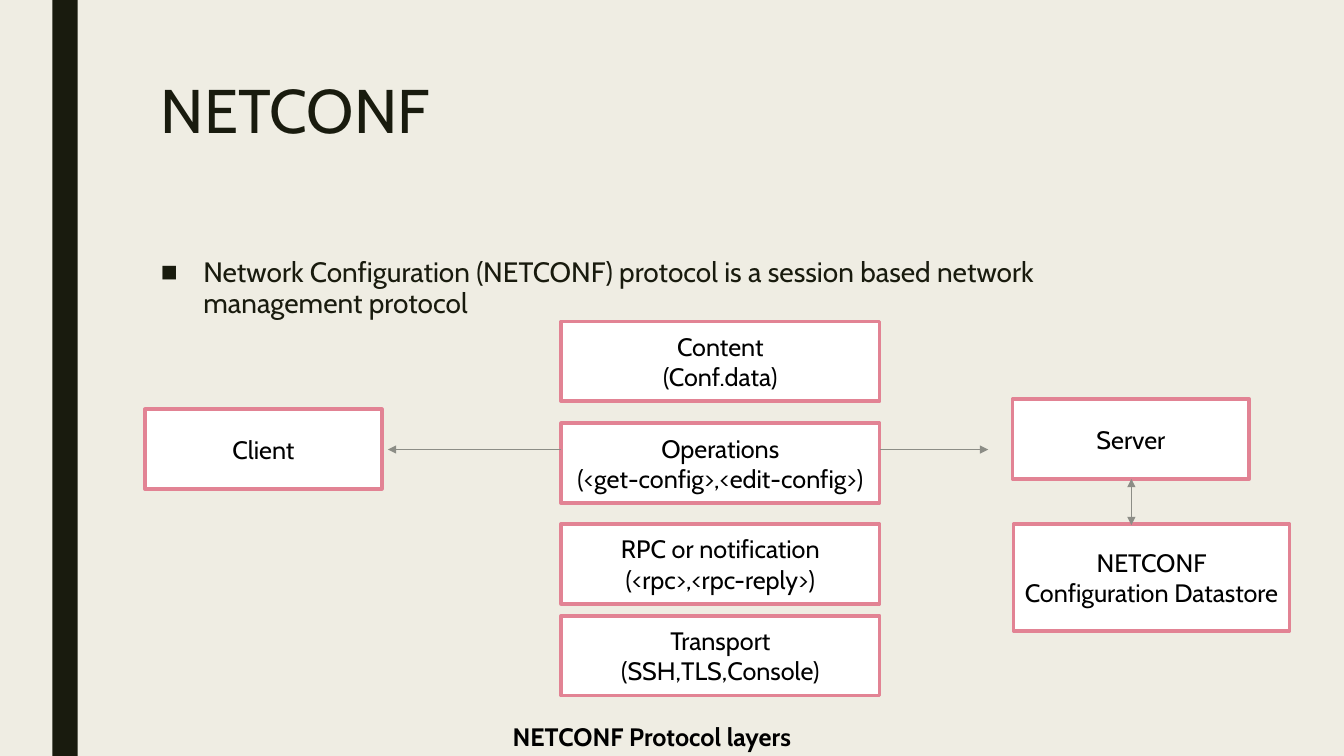
"""Build the NETCONF protocol layers slide."""
import pptx
import pptx.dml.color
import pptx.enum.shapes
import pptx.enum.text
import pptx.oxml
import pptx.oxml.ns
import pptx.util

Inches, Pt = pptx.util.Inches, pptx.util.Pt
RGB = pptx.dml.color.RGBColor.from_string
ALIGN = pptx.enum.text.PP_ALIGN
ANCHOR = pptx.enum.text.MSO_ANCHOR
RECT = pptx.enum.shapes.MSO_SHAPE.RECTANGLE
STRAIGHT = pptx.enum.shapes.MSO_CONNECTOR.STRAIGHT
COLORS = {"bg": "EFEDE3", "dark": "191B0E", "box": "FFFFFF",
          "border": "E28394", "arrow": "8C8D86", "text": "000000"}


def set_text(sp, text, size, color, align=ALIGN.LEFT, spacing=None, bold=False):
    tf = sp.text_frame
    tf.word_wrap = True
    tf.text = text
    for p in tf.paragraphs:
        p.alignment = align
        p.line_spacing = spacing
        for r in p.runs:
            r.font.name = "Cabin"
            r.font.size = Pt(size)
            r.font.bold = bold
            r.font.color.rgb = RGB(COLORS[color])
    return tf


def add_xml(parent, tag, **attrs):
    el = pptx.oxml.parse_xml(f"<{tag} {pptx.oxml.ns.nsdecls('a')}/>")
    for name, value in attrs.items():
        el.set(name, value)
    parent.append(el)
    return el


prs = pptx.Presentation()
prs.slide_width, prs.slide_height = Inches(13.34), Inches(7.5)
s = prs.slides.add_slide(prs.slide_layouts[6])
s.background.fill.solid()
s.background.fill.fore_color.rgb = RGB(COLORS["bg"])

bar = s.shapes.add_shape(RECT, Inches(0.52), 0, Inches(0.25), prs.slide_height)
bar.shadow.inherit = False
bar.fill.solid()
bar.fill.fore_color.rgb = RGB(COLORS["dark"])
bar.line.fill.background()

title = s.shapes.add_textbox(Inches(1.5), Inches(0.75), Inches(10.5), Inches(1.63))
set_text(title, "NETCONF", 44, "dark", spacing=0.89)

body = s.shapes.add_textbox(Inches(1.5), Inches(2.5), Inches(10.5), Inches(3.92))
tf = set_text(body, "Network Configuration (NETCONF) protocol is a session based "
              "network management protocol", 20, "dark", spacing=0.94)
tf.margin_right = Inches(0.2)
p = tf.paragraphs[0]
p.space_after = Pt(2)
pPr = p._p.get_or_add_pPr()
pPr.set("marL", str(Inches(0.42)))
pPr.set("indent", str(-Inches(0.42)))
add_xml(add_xml(pPr, "a:buClr"), "a:srgbClr", val=COLORS["dark"])
add_xml(pPr, "a:buFont", typeface="Arial")
add_xml(pPr, "a:buChar", char="■")

boxes = [
    ("Client", 1.44, 4.06, 2.35, 0.79),
    ("Server", 10.05, 3.96, 2.35, 0.79),
    ("NETCONF\nConfiguration Datastore", 10.06, 5.2, 2.74, 1.06),
]
layers = [
    ("Content\n(Conf.data)", 3.19),
    ("Operations\n(<get-config>,<edit-config>)", 4.2),
    ("RPC or notification\n(<rpc>,<rpc-reply>)", 5.2),
    ("Transport\n(SSH,TLS,Console)", 6.11),
]
boxes += [(text, 5.57, top, 3.16, 0.79) for text, top in layers]
for text, *place in boxes:
    sp = s.shapes.add_shape(RECT, *map(Inches, place))
    sp.shadow.inherit = False
    sp.fill.solid()
    sp.fill.fore_color.rgb = RGB(COLORS["box"])
    sp.line.color.rgb = RGB(COLORS["border"])
    sp.line.width = Pt(2.75)
    tf = set_text(sp, text, 18, "text", ALIGN.CENTER)
    tf.vertical_anchor = ANCHOR.MIDDLE

arrows = [
    ((5.57, 4.46, 3.85, 4.46), ["tailEnd"]),
    ((8.73, 4.46, 9.81, 4.46), ["tailEnd"]),
    ((11.23, 4.75, 11.23, 5.21), ["headEnd", "tailEnd"]),
]
for points, ends in arrows:
    arrow = s.shapes.add_connector(STRAIGHT, *map(Inches, points))
    arrow.line.color.rgb = RGB(COLORS["arrow"])
    arrow.line.width = Pt(0.5)
    for end in ends:
        add_xml(arrow.line._get_or_add_ln(), f"a:{end}", type="triangle")
    add_xml(arrow._element.spPr, "a:effectLst")

caption = s.shapes.add_textbox(Inches(2.61), Inches(7.11), Inches(7.72), Inches(0.4))
set_text(caption, "NETCONF Protocol layers", 18, "text", ALIGN.CENTER, bold=True)

prs.save("out.pptx")
